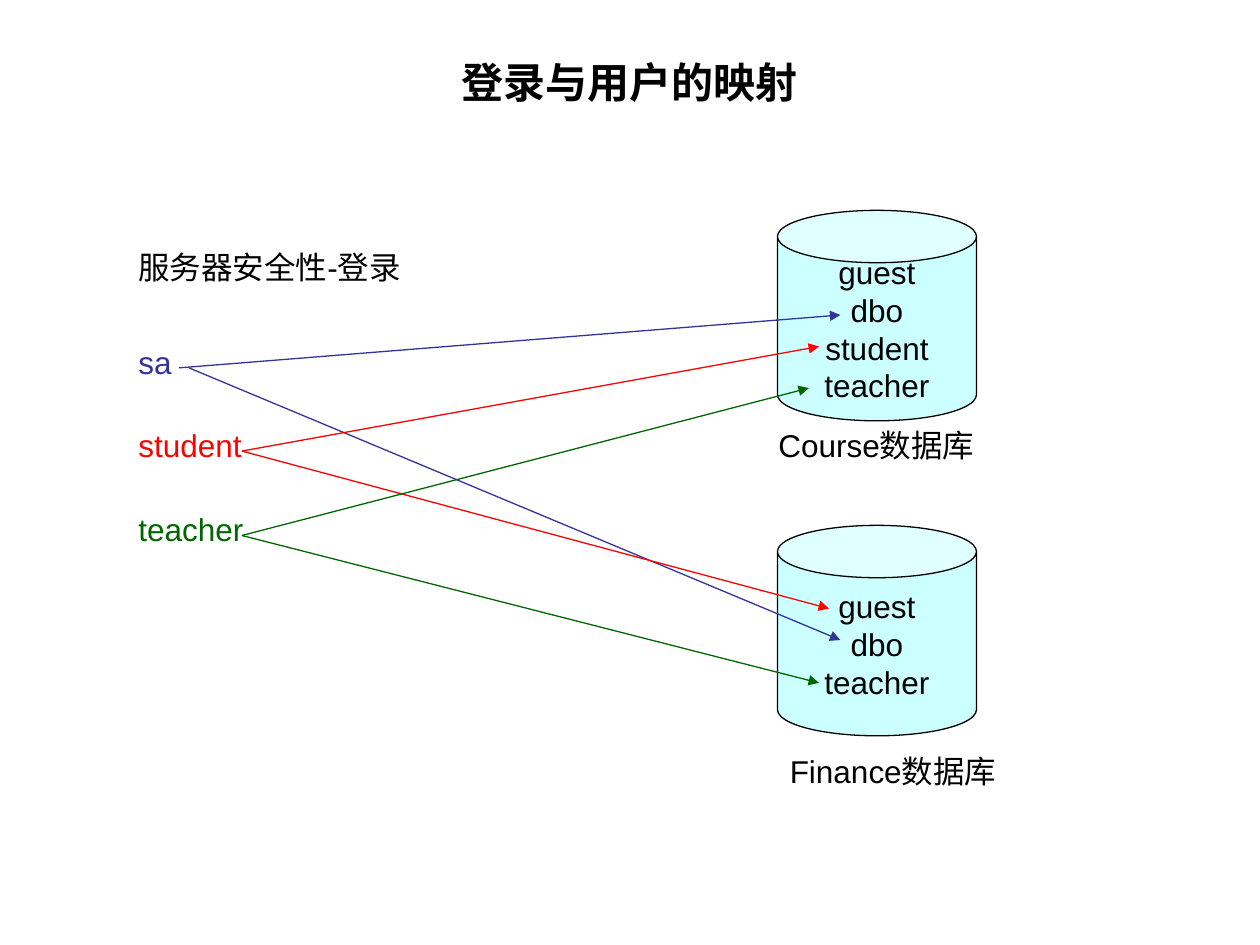
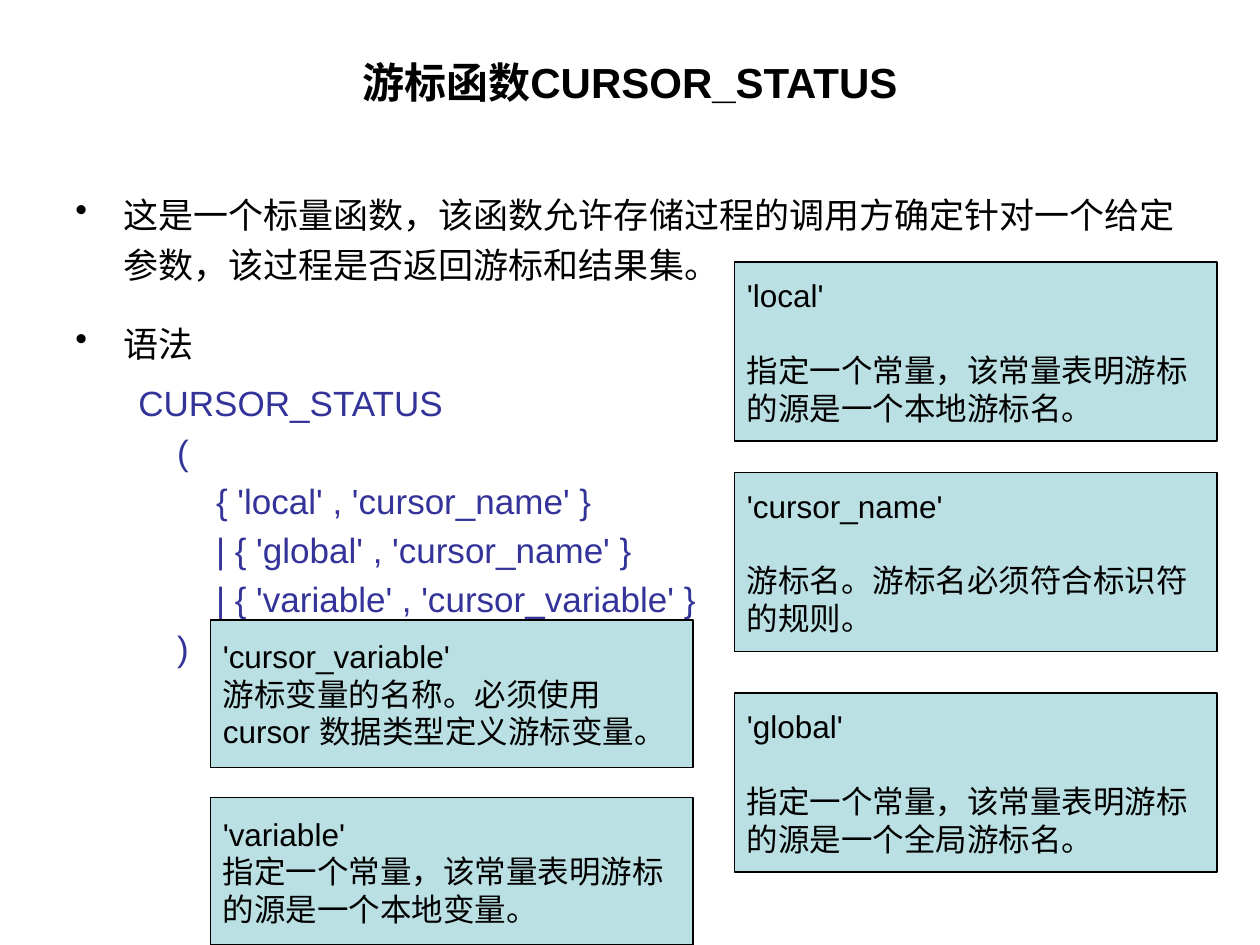
"""Builds two slides: login-to-user mapping and the CURSOR_STATUS function."""
from dataclasses import dataclass

from lxml import etree
from pptx import Presentation
from pptx import util as u
from pptx.dml.color import RGBColor
from pptx.enum import shapes, text
from pptx.oxml import ns

In = u.Inches


@dataclass(frozen=True)
class Theme:
    """Colours, font and type sizes shared by the slides."""
    font: str = "Arial"
    ink: str = "000000"
    blue: str = "333399"
    red: str = "FF0000"
    green: str = "006600"
    database: str = "CCFFFF"
    note: str = "BBE0E3"
    title_size: int = 24
    body_size: int = 20
    label_size: int = 18
    line_width: float = 0.75


THEME = Theme()


def rgb(colour):
    """Turn a hex string into a colour."""
    return RGBColor.from_string(colour)


def style(paragraph, size, colour=THEME.ink, bold=False):
    """Format the runs of a paragraph."""
    for run in paragraph.runs:
        run.font.name = THEME.font
        run.font.size = u.Pt(size)
        run.font.bold = bold
        run.font.color.rgb = rgb(colour)


def add_label(slide, words, left, top, width, height=0.4, size=THEME.label_size,
              colour=THEME.ink, bold=False):
    """Add a wrapping text box and return its frame."""
    frame = slide.shapes.add_textbox(In(left), In(top), In(width), In(height)).text_frame
    frame.word_wrap = True
    frame.text = words
    for paragraph in frame.paragraphs:
        style(paragraph, size, colour, bold)
    return frame


def add_title(slide, words):
    """Add the centred slide title."""
    frame = add_label(slide, words, 0.5, 0.3, 9, 0.7, THEME.title_size, bold=True)
    frame.vertical_anchor = text.MSO_ANCHOR.MIDDLE
    frame.paragraphs[0].alignment = text.PP_ALIGN.CENTER


def add_panel(slide, preset, fill, place, lines, align):
    """Add an outlined, filled shape holding lines of text."""
    panel = slide.shapes.add_shape(preset, *map(In, place))
    panel.shadow.inherit = False
    panel.fill.solid()
    panel.fill.fore_color.rgb = rgb(fill)
    panel.line.color.rgb = rgb(THEME.ink)
    panel.line.width = u.Pt(THEME.line_width)
    frame = panel.text_frame
    frame.text = "\n".join(lines)
    frame.vertical_anchor = text.MSO_ANCHOR.MIDDLE
    for paragraph in frame.paragraphs:
        paragraph.alignment = align
        style(paragraph, THEME.label_size)
    return panel


def add_database(slide, top, users):
    """Add a database cylinder listing its users."""
    database = add_panel(slide, shapes.MSO_SHAPE.CAN, THEME.database,
                         (6.17, top, 1.58, 1.67), users, text.PP_ALIGN.CENTER)
    database.adjustments[0] = 0.263
    database.text_frame.word_wrap = False


def add_note(slide, left, top, height, term, meaning, gap=0):
    """Add a box explaining one argument."""
    note = add_panel(slide, shapes.MSO_SHAPE.RECTANGLE, THEME.note,
                     (left, top, 3.83, height), (term, meaning), text.PP_ALIGN.LEFT)
    note.text_frame.word_wrap = True
    note.text_frame.paragraphs[1].space_before = u.Pt(gap)


def add_mapping(slide, start, end, colour):
    """Draw an arrow from a login to a database user."""
    arrow = slide.shapes.add_connector(shapes.MSO_CONNECTOR.STRAIGHT, *map(In, start + end))
    arrow.line.color.rgb = rgb(colour)
    arrow.line.width = u.Pt(THEME.line_width)
    etree.SubElement(arrow.line._get_or_add_ln(), ns.qn("a:tailEnd"), type="triangle")
    etree.SubElement(arrow._element.spPr, ns.qn("a:effectLst"))


def indent(paragraph, margin, hanging, bullet=None):
    """Set a hanging indent and an optional bullet."""
    properties = paragraph._p.get_or_add_pPr()
    properties.set("marL", str(In(margin)))
    properties.set("indent", str(-In(hanging)))
    if bullet:
        etree.SubElement(properties, ns.qn("a:buChar"), char=bullet)
    else:
        etree.SubElement(properties, ns.qn("a:buNone"))


def add_syntax_body(slide, points, code):
    """Add bulleted points followed by lines of code."""
    frame = add_label(slide, "\n".join(points + code), 0.5, 1.17, 9, 5.53, THEME.body_size)
    frame.margin_top = In(0.3)
    for number, paragraph in enumerate(frame.paragraphs):
        if number < len(points):
            indent(paragraph, 0.38, 0.38, "•")
            paragraph.line_spacing = 1.2
            paragraph.space_before = u.Pt(10 if number else 0)
            paragraph.space_after = u.Pt(6)
        else:
            paragraph.level = 1
            indent(paragraph, 0.81, 0.31)
            paragraph.space_before = u.Pt(4)
            style(paragraph, THEME.body_size, THEME.blue)


def build_mapping_slide(slide):
    """Show how server logins map to database users."""
    add_title(slide, "登录与用户的映射")
    add_label(slide, "服务器安全性-登录", 1, 1.92, 2.42)
    add_database(slide, 1.67, ("guest", "dbo", "student", "teacher"))
    add_database(slide, 4.17, ("guest", "dbo", "teacher"))
    add_label(slide, "Course数据库", 6.08, 3.33, 2)
    add_label(slide, "Finance数据库", 6.17, 5.92, 2)
    logins = (
        ("sa", THEME.blue, 2.67, (1.42, 1.5), ((6.67, 2.5), (6.67, 5.08))),
        ("student", THEME.red, 3.33, (1.92, 1.92), ((6.5, 2.75), (6.58, 4.83))),
        ("teacher", THEME.green, 4, (1.92, 1.92), ((6.42, 3.08), (6.5, 5.42))),
    )
    for login, colour, top, starts, users in logins:
        add_label(slide, login, 1, top, 1.92, colour=colour)
        for start, user in zip(starts, users):
            add_mapping(slide, (start, top + 0.25), user, colour)


def build_cursor_slide(slide):
    """Explain the CURSOR_STATUS function and its arguments."""
    add_title(slide, "游标函数CURSOR_STATUS")
    add_syntax_body(
        slide,
        ["这是一个标量函数，该函数允许存储过程的调用方确定针对一个给定参数，该过程是否返回游标和结果集。",
         "语法"],
        ["CURSOR_STATUS",
         "    (",
         "        { 'local' , 'cursor_name' }",
         "        | { 'global' , 'cursor_name' }",
         "        | { 'variable' , 'cursor_variable' }",
         "    )"])
    right_notes = (
        (2.08, "'local'", "指定一个常量，该常量表明游标的源是一个本地游标名。"),
        (3.75, "'cursor_name'", "游标名。游标名必须符合标识符的规则。"),
        (5.5, "'global'", "指定一个常量，该常量表明游标的源是一个全局游标名。"),
    )
    for top, term, meaning in right_notes:
        add_note(slide, 5.83, top, 1.42, term, meaning, gap=21)
    lower_notes = (
        (6.33, "'variable'", "指定一个常量，该常量表明游标的源是一个本地变量。"),
        (4.92, "'cursor_variable'", "游标变量的名称。必须使用 cursor 数据类型定义游标变量。"),
    )
    for top, term, meaning in lower_notes:
        add_note(slide, 1.67, top, 1.17, term, meaning)


def main():
    """Build and save the presentation."""
    deck = Presentation()
    deck.slide_width, deck.slide_height = In(10), In(7.5)
    for build in (build_mapping_slide, build_cursor_slide):
        build(deck.slides.add_slide(deck.slide_layouts[6]))
    deck.save("out.pptx")


if __name__ == "__main__":
    main()
